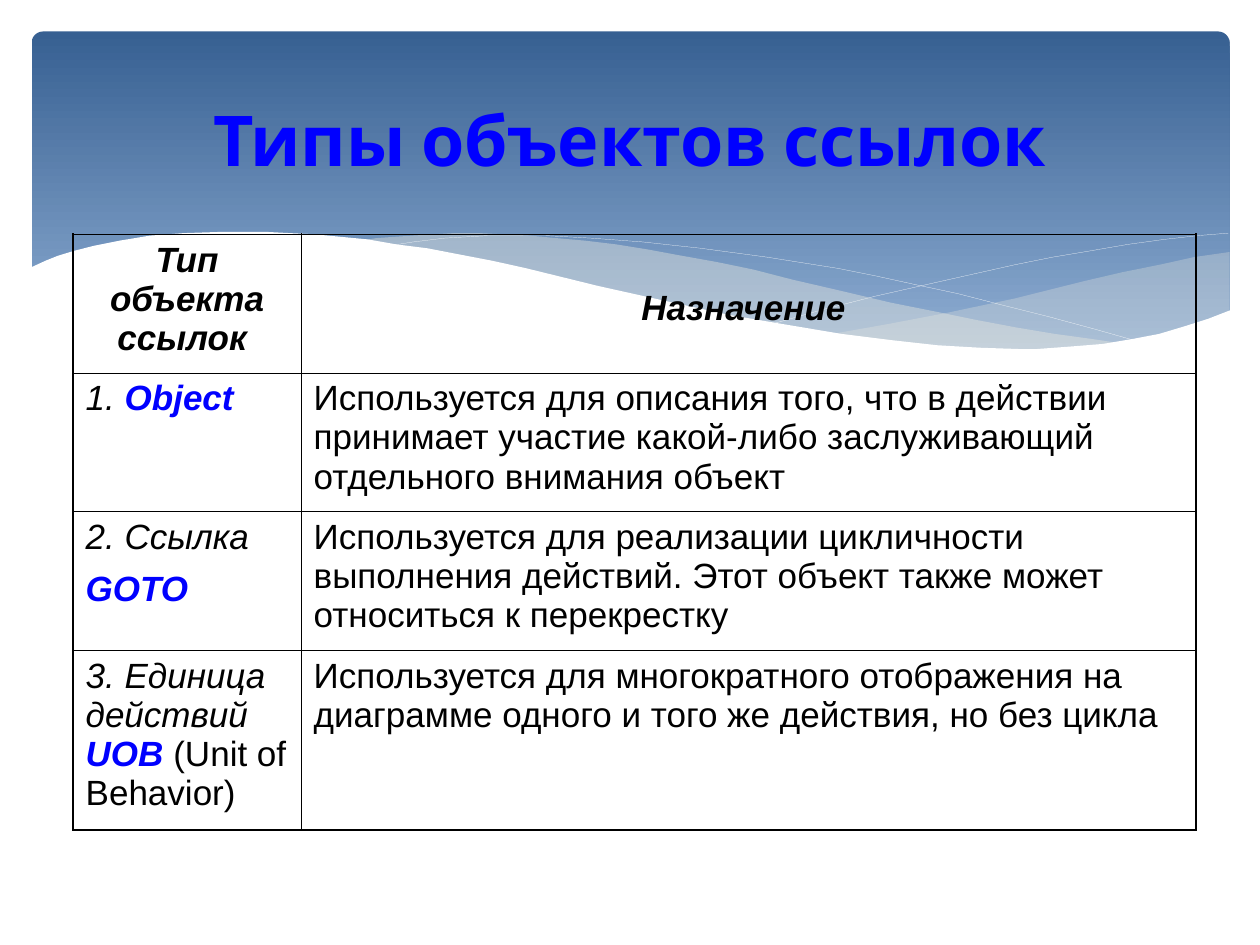
from lxml import etree
from pptx import Presentation
from pptx.dml.color import RGBColor
from pptx.enum.shapes import MSO_SHAPE
from pptx.enum.text import MSO_ANCHOR, PP_ALIGN
from pptx.oxml import parse_xml
from pptx.oxml.ns import nsdecls, qn
from pptx.util import Inches, Pt

ROUND = MSO_SHAPE.ROUNDED_RECTANGLE
CENTER, LEFT = PP_ALIGN.CENTER, PP_ALIGN.LEFT
MIDDLE, TOP = MSO_ANCHOR.MIDDLE, MSO_ANCHOR.TOP
BLACK = RGBColor(0x00, 0x00, 0x00)
BLUE = RGBColor(0x00, 0x00, 0xFF)
WHITE = RGBColor(0xFF, 0xFF, 0xFF)
CREAM = RGBColor(0xEE, 0xEC, 0xE1)
DARK = RGBColor(0x37, 0x60, 0x92)
LIGHT = RGBColor(0x95, 0xB3, 0xD7)
THICK, THIN, HAIR = Pt(1.08), Pt(0.45), Pt(0.1)


def draw_wave(points, closed):
    """Join points given in inches and return the new shape."""
    spots = [(Inches(x), Inches(y)) for x, y in points]
    pen = shapes.build_freeform(*spots[0])
    pen.add_line_segments(spots[1:], close=closed)
    wave = pen.convert_to_shape()
    wave.shadow.inherit = False
    return wave


def add_run(para, text, face, size, color, bold=False, italic=False):
    run = para.add_run()
    run.text = text
    font = run.font
    font.name, font.size = face, Pt(size)
    font.bold, font.italic = bold, italic
    font.color.rgb = color


prs = Presentation()
prs.slide_width, prs.slide_height = Inches(10), Inches(7.5)
slide = prs.slides.add_slide(prs.slide_layouts[5])
shapes = slide.shapes

# Header band, dark at the top
band = shapes.add_shape(ROUND, Inches(0.25), Inches(0.25), Inches(9.51), Inches(2.7))
band.adjustments[0] = 0.034
band.shadow.inherit = False
band.line.fill.background()
band.fill.gradient()
band.fill.gradient_angle = 270
for stop, color in zip(band.fill.gradient_stops, (DARK, LIGHT)):
    stop.color.rgb = color

# Curves of the waves, as (x, y) in inches
right_top = [
    (9.76, 2), (9.48, 2.04), (9.21, 2.1), (8.91, 2.16), (8.61, 2.23),
    (8.05, 2.37), (7.53, 2.48), (7.06, 2.57), (6.61, 2.65)]
right_foot = [
    (6.91, 2.69), (7.18, 2.73), (7.45, 2.75), (7.69, 2.77), (8.03, 2.78),
    (8.35, 2.77), (8.63, 2.75), (8.89, 2.72), (9.13, 2.67), (9.35, 2.62),
    (9.49, 2.57), (9.63, 2.52), (9.76, 2.47)]
mid_top = [
    (8.93, 2.73), (8.66, 2.69), (8.37, 2.65), (8.07, 2.6), (7.75, 2.54),
    (7.41, 2.47), (7.06, 2.4), (6.68, 2.31), (6.29, 2.22), (5.98, 2.14),
    (5.69, 2.08), (5.41, 2.03), (5.14, 1.98), (4.89, 1.94), (4.64, 1.91),
    (4.41, 1.89), (4.2, 1.87), (3.99, 1.86), (3.8, 1.85), (3.61, 1.85),
    (3.28, 1.87), (2.99, 1.89), (2.86, 1.91)]
mid_foot = [
    (3.23, 1.96), (3.62, 2.03), (4.04, 2.11), (4.49, 2.22), (4.91, 2.32),
    (5.3, 2.4), (5.66, 2.48), (6.01, 2.55), (6.34, 2.61), (6.65, 2.66),
    (6.95, 2.7), (7.22, 2.74), (7.48, 2.76), (7.73, 2.78), (8.07, 2.79),
    (8.38, 2.78), (8.67, 2.76), (8.84, 2.74)]
fall_line = [
    (3.09, 1.95), (3.28, 1.92), (3.53, 1.89), (3.87, 1.87), (4.33, 1.87),
    (4.69, 1.89), (5.1, 1.92), (5.56, 1.97), (6.08, 2.04), (6.65, 2.13),
    (6.95, 2.19), (7.27, 2.26), (7.6, 2.33), (7.95, 2.42), (8.31, 2.51),
    (8.68, 2.61), (9.07, 2.72)]
rise_line = [
    (6.13, 2.57), (6.24, 2.54), (6.52, 2.46), (6.95, 2.35), (7.48, 2.23),
    (8.06, 2.1), (8.36, 2.04), (8.66, 1.99), (8.95, 1.94), (9.24, 1.9),
    (9.51, 1.87), (9.75, 1.85)]
band_edge = [
    (9.77, 2.46), (9.59, 2.53), (9.4, 2.59), (9.2, 2.65), (8.99, 2.69),
    (8.75, 2.73), (8.5, 2.75), (8.23, 2.77), (8.09, 2.77), (7.78, 2.76),
    (7.44, 2.74), (7.08, 2.7), (6.68, 2.65), (6.26, 2.58), (5.79, 2.5),
    (5.29, 2.39), (4.75, 2.27), (4.18, 2.13), (3.91, 2.07), (3.65, 2.02),
    (3.39, 1.97), (3.15, 1.94), (2.92, 1.9), (2.71, 1.88), (2.5, 1.86),
    (2.3, 1.85), (2.11, 1.84), (1.76, 1.84), (1.46, 1.85), (1.19, 1.87),
    (0.95, 1.91), (0.75, 1.95), (0.59, 1.99), (0.46, 2.03), (0.36, 2.07),
    (0.23, 2.13)]
base = [(0.23, 3.29), (9.77, 3.29)]

# Veils, then lines, then the white mask that cuts the band's lower edge
for points, alpha in ((right_top + right_foot, 29), (mid_top + mid_foot, 40)):
    veil = draw_wave(points, True)
    veil.line.fill.background()
    veil.fill.solid()
    veil.fill.fore_color.rgb = CREAM
    tint = veil._element.spPr.find(qn("a:solidFill")).find(qn("a:srgbClr"))
    etree.SubElement(tint, qn("a:alpha"), val=str(alpha * 1000))

for points in (fall_line, rise_line):
    thread = draw_wave(points, False)
    thread.fill.background()
    thread.line.color.rgb = WHITE
    thread.line.width = HAIR

mask = draw_wave(band_edge + base, True)
mask.line.fill.background()
mask.fill.solid()
mask.fill.fore_color.rgb = WHITE

# Run styles: size, colour, bold, italic
HEAD = (20, BLACK, True, True)
NOTE = (20, BLACK, False, True)
TERM = (20, BLUE, True, True)
BODY = (20, BLACK, False, False)
WIDE = (28, BLUE, True, False)
rows = [
    ([("Тип объекта ссылок ", HEAD)], [("Назначение ", HEAD)]),
    ([("1. ", NOTE), ("Object", TERM)],
     [("Используется для описания того, что в действии принимает участие "
       "какой-либо заслуживающий отдельного внимания объект", BODY)]),
    ([("2. Ссылка ", NOTE), ("GOTO", TERM), (" ", WIDE)],
     [("Используется для реализации цикличности выполнения действий. "
       "Этот объект также может относиться к перекрестку", BODY)]),
    ([("3. Единица действий ", NOTE), ("UOB ", TERM), ("(Unit of Behavior)", BODY)],
     [("Используется для многократного отображения на диаграмме одного и "
       "того же действия, но без цикла", BODY)]),
]
widths, heights = (1.81, 7.1), (1.1, 1.1, 1.1, 1.43)
table = shapes.add_table(len(rows), len(widths), Inches(0.58), Inches(1.86),
                         Inches(sum(widths)), Inches(sum(heights))).table
table.first_row = table.horz_banding = False
for col, width in zip(table.columns, widths):
    col.width = Inches(width)
for row, height in zip(table.rows, heights):
    row.height = Inches(height)

for r, row in enumerate(rows):
    for c, runs in enumerate(row):
        cell = table.cell(r, c)
        # Thick lines frame the table, thin ones part its cells
        outer = {"L": c == 0, "R": c == len(widths) - 1,
                 "T": r == 0, "B": r == len(rows) - 1}
        for side, thick in outer.items():
            cell._tc.get_or_add_tcPr().append(parse_xml(
                f'<a:ln{side} {nsdecls("a")} w="{THICK if thick else THIN}">'
                f'<a:solidFill><a:srgbClr val="{BLACK}"/></a:solidFill></a:ln{side}>'))
        cell.fill.background()
        cell.vertical_anchor = TOP
        para = cell.text_frame.paragraphs[0]
        para.alignment = CENTER if r == 0 else LEFT
        for text, style in runs:
            add_run(para, text, "Arial", *style)

# The one-line heading sits just below the middle of its cell
purpose = table.cell(0, 1)
purpose.vertical_anchor = MIDDLE
purpose.margin_top = Inches(0.13)

# Title, brought in front of the band
title = shapes.title
title.left, title.top = Inches(0.5), Inches(0.5)
title.width, title.height = Inches(9), Inches(1.2)
title.text_frame.vertical_anchor = MIDDLE
para = title.text_frame.paragraphs[0]
para.alignment = CENTER
add_run(para, "Типы объектов ссылок", "Cabin", 40, BLUE, bold=True)
shapes._spTree.append(title._element)

prs.save("out.pptx")
